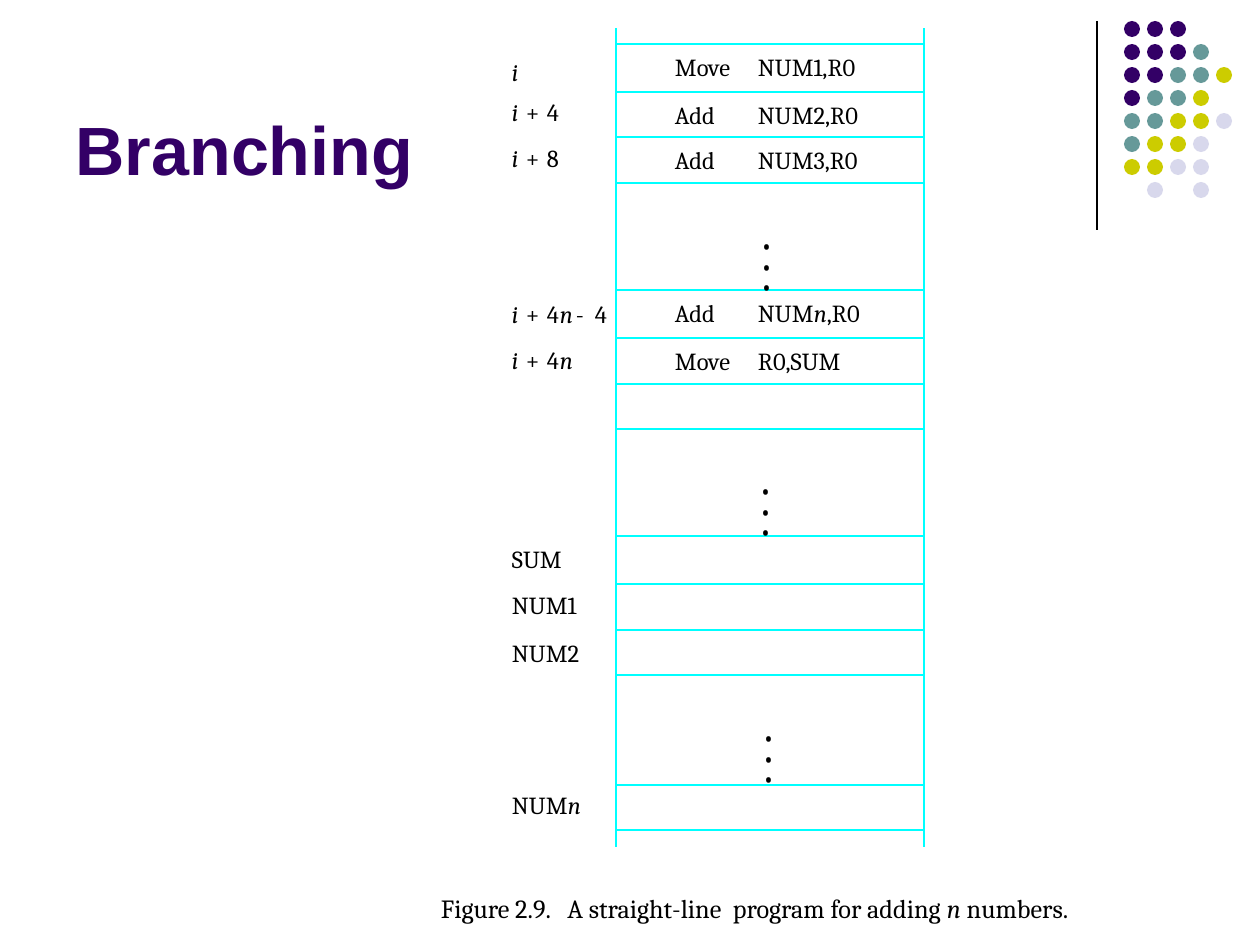
from dataclasses import dataclass

from lxml import etree
from pptx import Presentation
from pptx.dml.color import RGBColor
from pptx.enum.shapes import MSO_CONNECTOR, MSO_SHAPE
from pptx.enum.text import MSO_ANCHOR, MSO_AUTO_SIZE, PP_ALIGN
from pptx.oxml.ns import qn
from pptx.util import Pt

LINE, OVAL = MSO_CONNECTOR.STRAIGHT, MSO_SHAPE.OVAL
BASE, TOP = MSO_ANCHOR.BOTTOM, MSO_ANCHOR.TOP
LEFT = PP_ALIGN.LEFT
FIT, FIXED = MSO_AUTO_SIZE.SHAPE_TO_FIT_TEXT, MSO_AUTO_SIZE.NONE


@dataclass(frozen=True)
class Theme:
    head: str = "Arial"
    body: str = "Cambria"
    ink: str = "000000"
    plum: str = "330066"
    teal: str = "669999"
    lime: str = "CCCC00"
    mist: str = "D8D8EC"
    cyan: str = "00FFFF"
    title: int = 39
    text: int = 14
    dots: int = 16
    note: int = 15


THEME = Theme()

# Width in px of each piece of 14 pt text
WIDE = {"i": 6, "n": 14, "+": 14, "-": 8, "4": 14, "8": 14, "NUM": 58,
        "SUM": 54, "NUM1": 69, "NUM2": 69, "Add": 44, "Move": 59,
        "R0,SUM": 92, ",R0": 38, "NUM1,R0": 107, "NUM2,R0": 107,
        "NUM3,R0": 107}


def px(n):
    return round(n * 914400 / 126)


def style(font, name, size, color):
    font.name, font.size = name, Pt(size)
    font.color.rgb = RGBColor.from_string(color)


def rule(slide, x1, y1, x2, y2, color, width):
    line = slide.shapes.add_connector(LINE, px(x1), px(y1), px(x2), px(y2))
    line.line.color.rgb = RGBColor.from_string(color)
    line.line.width = Pt(width)
    etree.SubElement(line._element.spPr, qn("a:effectLst"))


def label(slide, x, y, w, h, runs, size):
    """Unwrapped text from (words, italic) runs."""
    box = slide.shapes.add_textbox(px(x), px(y), px(w), px(h))
    frame = box.text_frame
    frame.margin_left = frame.margin_right = 0
    frame.margin_top = frame.margin_bottom = 0
    frame.word_wrap, frame.auto_size = False, FIT
    para = frame.paragraphs[0]
    for words, slant in runs:
        run = para.add_run()
        run.text = words
        run.font.italic = slant
    style(para.font, THEME.body, size, THEME.ink)


def piece(slide, x, y, words):
    label(slide, x, y, WIDE[words], 29, [(words, words in "in")], THEME.text)


def heading(slide, x, y, w, h):
    title = slide.shapes.title
    title.left, title.top, title.width, title.height = map(px, (x, y, w, h))
    frame = title.text_frame
    frame.text = "Branching"
    frame.vertical_anchor, frame.auto_size = BASE, FIXED
    para = frame.paragraphs[0]
    para.alignment = LEFT
    style(para.font, THEME.head, THEME.title, THEME.plum)
    para.font.bold = True


def corner(slide, x, y, h):
    """Upright rule and the grid of coloured dots beside it."""
    rule(slide, x, y, x, y + h, THEME.ink, 0.75)
    hues = {"P": THEME.plum, "T": THEME.teal, "L": THEME.lime,
            "M": THEME.mist}
    rows = ["PPP", "PPPT", "PPTTL", "PTTL", "TTLLM", "TLLM", "LLMM", " M M"]
    for r, row in enumerate(rows):
        for c, key in enumerate(row):
            if key == " ":
                continue
            dot = slide.shapes.add_shape(OVAL, px(x + 27 + 23 * c),
                                         px(y + 23 * r), px(16), px(16))
            dot.fill.solid()
            dot.fill.fore_color.rgb = RGBColor.from_string(hues[key])
            dot.line.fill.background()
            dot.shadow.inherit = False


def dots(slide, x, y):
    """Three bullets, one above the other."""
    box = slide.shapes.add_textbox(px(x), px(y), px(37), px(121))
    frame = box.text_frame
    frame.word_wrap, frame.auto_size = True, FIXED
    frame.vertical_anchor, frame.margin_top = TOP, px(53)
    frame.text = "•\n•\n•"
    for para in frame.paragraphs:
        para.line_spacing = Pt(11.7)
        style(para.font, THEME.body, THEME.dots, THEME.ink)


def memory(slide, x, y, w, h):
    """Memory column: side rules, cell rules, instructions and gaps."""
    for side in (x, x + w):
        rule(slide, side, y + h, side, y, THEME.cyan, 1.5)
    cells = (16, 64, 109, 155, 262, 310, 356, 401, 508, 556, 602, 647, 757, 802)
    for top in cells:
        rule(slide, x + w, y + top, x, y + top, THEME.cyan, 1.5)

    # Each instruction: top, name, then operand pieces with their offsets
    code = [(24, "Move", [(0, "NUM1,R0")]),
            (72, "Add", [(0, "NUM2,R0")]),
            (117, "Add", [(0, "NUM3,R0")]),
            (270, "Add", [(0, "NUM"), (56, "n"), (69, ",R0")]),
            (318, "Move", [(0, "R0,SUM")])]
    for top, name, parts in code:
        piece(slide, x + 59, y + top, name)
        for dx, words in parts:
            piece(slide, x + 142 + dx, y + top, words)

    for dx, top in ((132, 160), (131, 405), (134, 652)):
        dots(slide, x + dx, y + top)


def places(slide, x, y):
    """Addresses left of the column, set on shared stops."""
    stops = (0, 14, 35, 48, 64, 83)
    sums = [(0, "i"), (40, "i+4"), (86, "i+8"), (242, "i+4n-4"),
            (288, "i+4n")]
    for top, marks in sums:
        for dx, mark in zip(stops, marks):
            piece(slide, x + dx, y + top, mark)
    for top, name in ((487, "SUM"), (533, "NUM1"), (581, "NUM2"),
                      (733, "NUM")):
        piece(slide, x, y + top, name)
    piece(slide, x + 56, y + 733, "n")


def caption(slide, x, y, w, h):
    runs = [("Figure 2.9.   A straight-line  program for adding ", False),
            ("n", True), (" numbers.", False)]
    label(slide, x, y, w, h, runs, THEME.note)


def main():
    deck = Presentation()
    deck.slide_width, deck.slide_height = px(1260), px(945)
    slide = deck.slides.add_slide(deck.slide_layouts[5])
    corner(slide, 1097, 21, 209)
    heading(slide, 63, 16, 1040, 179)
    memory(slide, 616, 28, 308, 819)
    places(slide, 512, 57)
    caption(slide, 441, 892, 683, 32)
    deck.save("out.pptx")


if __name__ == "__main__":
    main()
